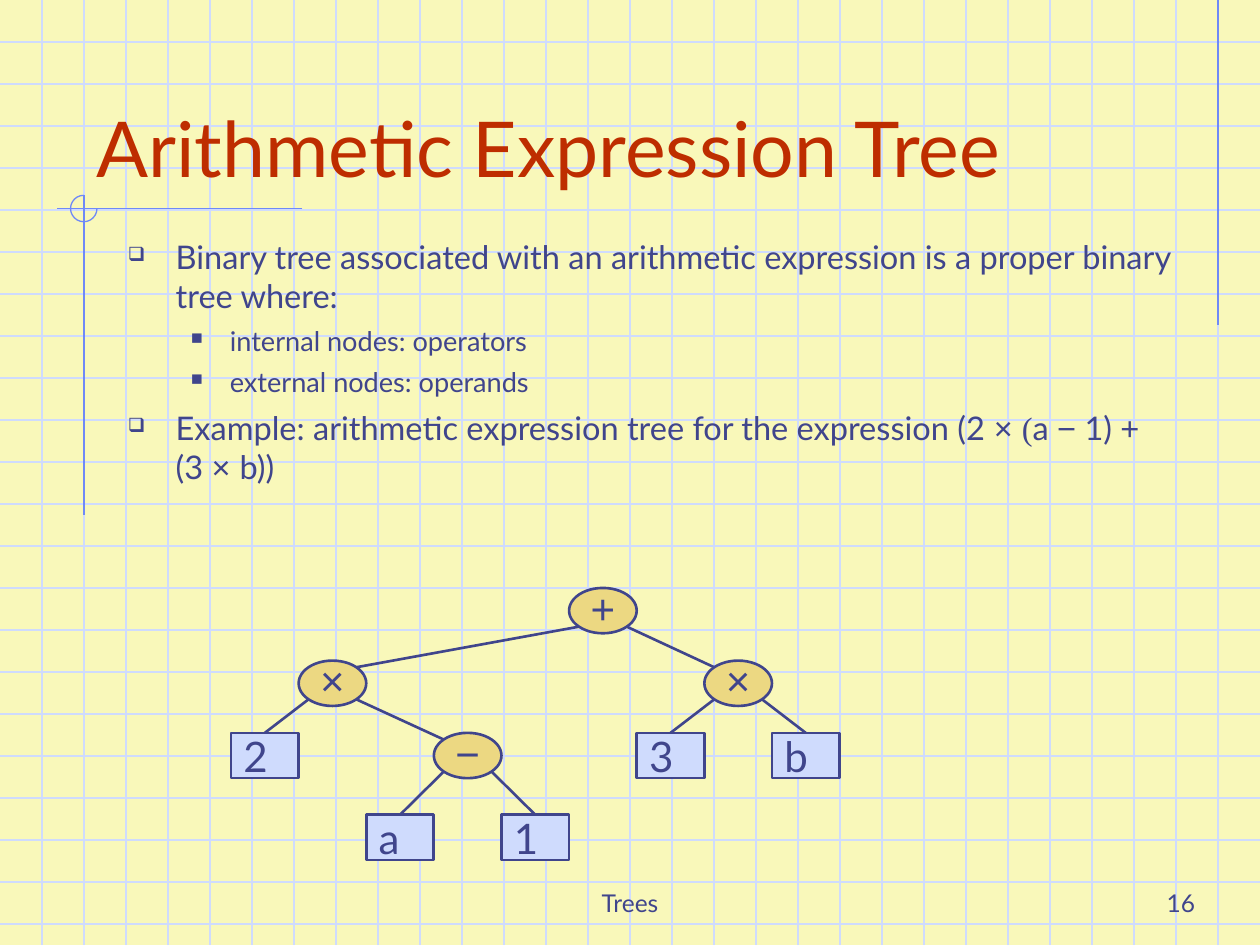
"""Build the slide about arithmetic expression trees."""
from dataclasses import dataclass
from math import sqrt
from typing import Optional

from lxml import etree
from pptx import Presentation
from pptx.dml.color import RGBColor
from pptx.enum.shapes import MSO_CONNECTOR, MSO_SHAPE
from pptx.enum.text import MSO_ANCHOR, PP_ALIGN
from pptx.oxml.ns import qn
from pptx.util import Inches, Length, Pt

STRAIGHT = MSO_CONNECTOR.STRAIGHT
ELLIPSE, RECTANGLE, ARC = MSO_SHAPE.OVAL, MSO_SHAPE.RECTANGLE, MSO_SHAPE.ARC
LEFT, CENTER, RIGHT = PP_ALIGN.LEFT, PP_ALIGN.CENTER, PP_ALIGN.RIGHT
TOP, MIDDLE, BOTTOM = MSO_ANCHOR.TOP, MSO_ANCHOR.MIDDLE, MSO_ANCHOR.BOTTOM

COLUMNS, ROWS = 30, 22.5
PAPER, GRID, RULE = "F9F8BA", "CFDBFD", "6F89F7"
INK, HEADING, OPERATOR = "40458C", "BE2D00", "ECD882"
MAIN_FONT, SYMBOL_FONT, SERIF_FONT = "Lato", "Arial", "Times New Roman"

NODE_WIDTH, NODE_HEIGHT = 1.61, 1.08
TREE_LEFT = 5.5
LEVEL_TOPS = (14, 15.73, 17.45, 19.4)


@dataclass(frozen=True)
class Level:
    """Format of one level of the bullet list."""
    bullet: str
    size: float
    margin: float
    hanging: float
    space: float


@dataclass(frozen=True)
class Node:
    """Tree node placed by its in-order column and its depth."""
    symbol: str
    column: int
    depth: int
    parent: Optional[int] = None
    is_operator: bool = False

    @property
    def center(self) -> float:
        """Return the horizontal centre in grid columns."""
        return TREE_LEFT + (self.column + 0.5) * NODE_WIDTH

    def corner(self, side: int, vertical: int) -> tuple[float, float]:
        """Return the diagonal point of the ellipse on the given side."""
        middle = LEVEL_TOPS[self.depth] + NODE_HEIGHT / 2
        return (self.center + side * NODE_WIDTH / sqrt(8),
                middle + vertical * NODE_HEIGHT / sqrt(8))


MAIN_LEVEL = Level("❑", 18.6, 0.38, 0.38, 6)
SUB_LEVEL = Level("■", 15.5, 0.81, 0.31, 5)
BULLETS = (
    (MAIN_LEVEL, (("Binary tree associated with an arithmetic expression "
                   "is a proper binary tree where:", MAIN_FONT),)),
    (SUB_LEVEL, (("internal nodes: operators", MAIN_FONT),)),
    (SUB_LEVEL, (("external nodes: operands", MAIN_FONT),)),
    (MAIN_LEVEL, (
        ("Example: arithmetic expression tree for the expression (2 ", MAIN_FONT),
        ("× ", SYMBOL_FONT), ("(", SERIF_FONT), ("a ", MAIN_FONT),
        ("−", SYMBOL_FONT), (" 1) ", MAIN_FONT), ("+", SYMBOL_FONT),
        (" (3 ", MAIN_FONT), ("× ", SYMBOL_FONT), ("b))", MAIN_FONT))),
)
NODES = (
    Node("+", 5, 0, None, True), Node("×", 7, 1, 0, True),
    Node("×", 1, 1, 0, True), Node("−", 3, 2, 2, True),
    Node("2", 0, 2, 2), Node("a", 2, 3, 3), Node("1", 4, 3, 3),
    Node("3", 6, 2, 1), Node("b", 8, 2, 1),
)


def color(value: str) -> RGBColor:
    """Return the colour of a hex string."""
    return RGBColor.from_string(value)


def cells(count: float) -> Length:
    """Return the length of a number of grid cells."""
    return Inches(count / 3)


def add_line(slide, start, end, *, line: str = GRID, width: float = 0.75) -> None:
    """Draw a straight line between two grid points."""
    connector = slide.shapes.add_connector(
        STRAIGHT, *(cells(value) for value in (*start, *end)))
    connector.line.color.rgb = color(line)
    connector.line.width = Pt(width)
    etree.SubElement(connector._element.spPr, qn("a:effectLst"))


def add_run(paragraph, text: str, *, size: float, font: str = MAIN_FONT,
            ink: str = INK) -> None:
    """Append a formatted run to a paragraph."""
    run = paragraph.add_run()
    run.text = text
    run.font.size, run.font.name = Pt(size), font
    run.font.color.rgb = color(ink)


def add_text_box(slide, box, *, anchor=BOTTOM):
    """Add a wrapping text box on the grid and return its text frame."""
    frame = slide.shapes.add_textbox(*map(cells, box)).text_frame
    frame.word_wrap = True
    frame.vertical_anchor = anchor
    return frame


def add_label(slide, text: str, box, *, size: float, ink: str = INK,
              align=LEFT) -> None:
    """Add a one-paragraph text box."""
    paragraph = add_text_box(slide, box).paragraphs[0]
    paragraph.alignment = align
    add_run(paragraph, text, size=size, ink=ink)


def add_bullet(paragraph, level: Level) -> None:
    """Give a paragraph the bullet and indents of its level."""
    properties = paragraph._p.get_or_add_pPr()
    properties.set("marL", str(Inches(level.margin)))
    properties.set("indent", str(-Inches(level.hanging)))
    bullet_color = etree.SubElement(properties, qn("a:buClr"))
    etree.SubElement(bullet_color, qn("a:srgbClr"), val=INK)
    etree.SubElement(properties, qn("a:buSzPct"), val="60000")
    etree.SubElement(properties, qn("a:buChar"), char=level.bullet)


def add_bullet_list(slide, box) -> None:
    """Add the body text with its two bullet levels."""
    frame = add_text_box(slide, box, anchor=TOP)
    for index, (level, runs) in enumerate(BULLETS):
        paragraph = frame.add_paragraph() if index else frame.paragraphs[0]
        add_bullet(paragraph, level)
        if index:
            paragraph.space_before = Pt(level.space)
        for text, font in runs:
            add_run(paragraph, text, size=level.size, font=font)


def add_backdrop(slide) -> None:
    """Draw the squared paper with its margin rules and corner arc."""
    slide.background.fill.solid()
    slide.background.fill.fore_color.rgb = color(PAPER)
    for row in range(1, int(ROWS) + 1):
        add_line(slide, (0, row), (COLUMNS, row))
    for column in range(1, COLUMNS):
        add_line(slide, (column, 0), (column, ROWS))
    for start, end in (((29, 0), (29, 7.75)), ((7.2, 4.97), (1.35, 4.97)),
                       ((2, 4.65), (2, 12.27))):
        add_line(slide, start, end, line=RULE)
    arc = slide.shapes.add_shape(ARC, *map(cells, (1.68, 4.65, 0.63, 0.63)))
    arc.adjustments[0], arc.adjustments[1] = 0, 162
    arc.shadow.inherit = False
    arc.fill.background()
    arc.line.color.rgb = color(RULE)
    arc.line.width = Pt(0.75)


def add_node(slide, node: Node) -> None:
    """Draw an operator as an ellipse or an operand as a rectangle."""
    box = (node.center - NODE_WIDTH / 2, LEVEL_TOPS[node.depth],
           NODE_WIDTH, NODE_HEIGHT)
    shape = slide.shapes.add_shape(
        ELLIPSE if node.is_operator else RECTANGLE, *map(cells, box))
    shape.shadow.inherit = False
    shape.fill.solid()
    shape.fill.fore_color.rgb = color(OPERATOR if node.is_operator else GRID)
    shape.line.color.rgb = color(INK)
    shape.line.width = Pt(1.5)
    frame = shape.text_frame
    frame.vertical_anchor = MIDDLE
    if node.is_operator:
        frame.margin_left = frame.margin_right = frame.margin_top = 0
    paragraph = frame.paragraphs[0]
    paragraph.alignment = CENTER if node.is_operator else LEFT
    add_run(paragraph, node.symbol, size=24,
            font=SYMBOL_FONT if node.is_operator else MAIN_FONT)


def add_edge(slide, node: Node, parent: Node) -> None:
    """Connect a node to its parent."""
    side = 1 if node.column > parent.column else -1
    top = (node.center, LEVEL_TOPS[node.depth])
    start = node.corner(-side, -1) if node.is_operator else top
    add_line(slide, start, parent.corner(side, 1), line=INK, width=1.5)


def main() -> None:
    """Build and save the presentation."""
    presentation = Presentation()
    presentation.slide_width, presentation.slide_height = cells(COLUMNS), cells(ROWS)
    slide = presentation.slides.add_slide(presentation.slide_layouts[6])
    add_backdrop(slide)
    add_label(slide, "Trees", (10.25, 20.5, 9.5, 1.5), size=14, align=CENTER)
    add_label(slide, "16", (22.5, 20.5, 6.25, 1.5), size=14, align=RIGHT)
    add_label(slide, "Arithmetic Expression Tree", (2, 1, 25.5, 3.75),
              size=44, ink=HEADING)
    add_bullet_list(slide, (2.75, 5.5, 25.5, 6.5))
    for node in NODES:
        add_node(slide, node)
    for node in NODES:
        if node.parent is not None:
            add_edge(slide, node, NODES[node.parent])
    presentation.save("out.pptx")


if __name__ == "__main__":
    main()
